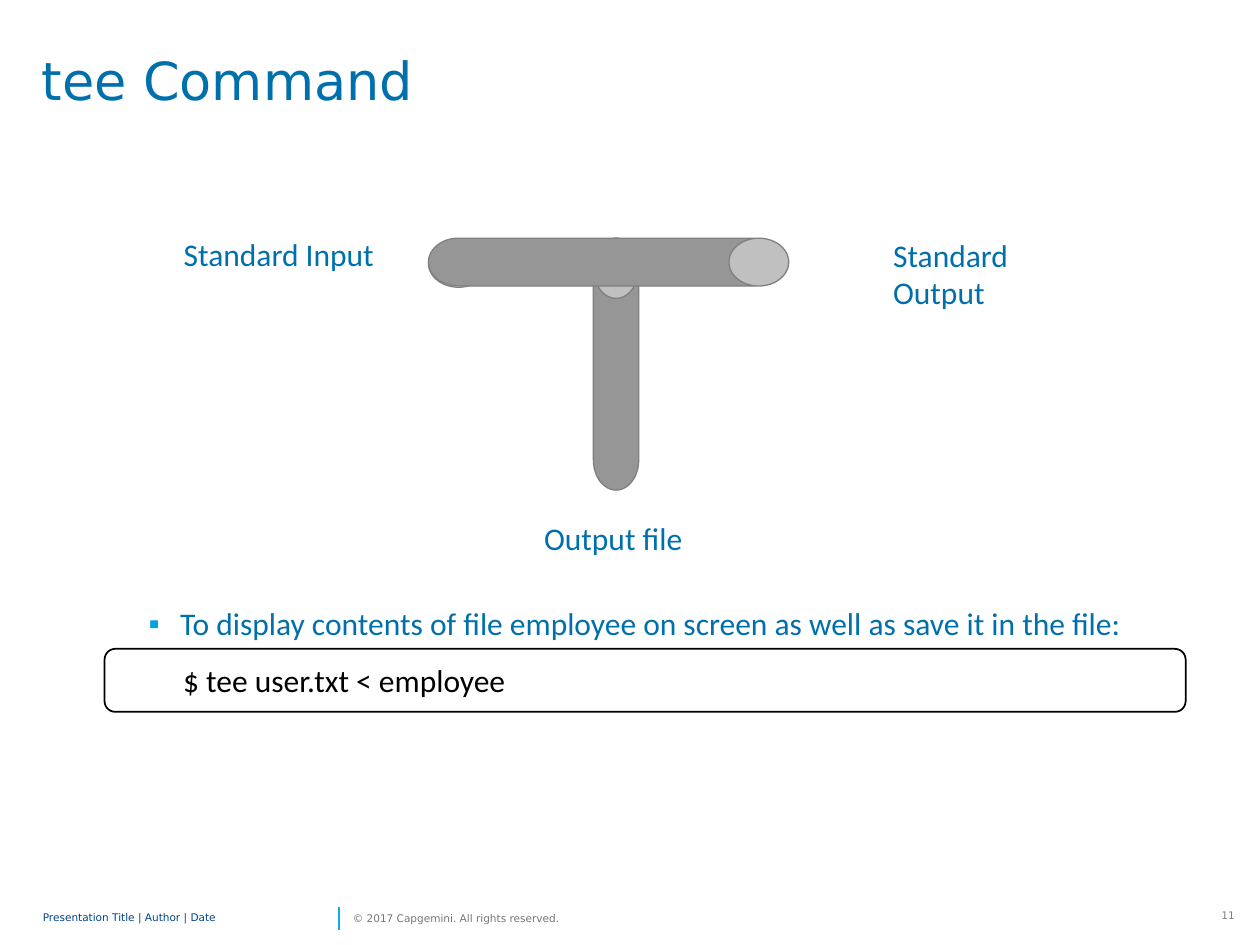
from lxml import etree
from pptx import Presentation
from pptx.dml.color import RGBColor
from pptx.enum.shapes import MSO_CONNECTOR, MSO_SHAPE
from pptx.enum.text import MSO_ANCHOR, MSO_AUTO_SIZE, PP_ALIGN
from pptx.oxml.ns import qn
from pptx.util import Inches, Pt

BLUE = RGBColor(0x00, 0x70, 0xAD)
BULLET_BLUE = RGBColor(0x00, 0xA1, 0xE4)
FOOTER_BLUE = RGBColor(0x00, 0x45, 0x8D)
DIVIDER_BLUE = RGBColor(0x12, 0xAB, 0xDB)
FOOTER_GRAY = RGBColor(0x76, 0x76, 0x76)
PIPE_GRAY = RGBColor(0x96, 0x96, 0x96)
EDGE_GRAY = RGBColor(0x80, 0x80, 0x80)
BLACK = RGBColor(0, 0, 0)
WHITE = RGBColor(0xFF, 0xFF, 0xFF)

BODY_FONT = "Calibri"
HEAD_FONT = "DejaVu Sans"


def place(shape, left, top, width, height):
    shape.left, shape.top = Inches(left), Inches(top)
    shape.width, shape.height = Inches(width), Inches(height)


def set_frame(box, anchor=MSO_ANCHOR.TOP, margins=(0.1, 0.05)):
    frame = box.text_frame
    frame.word_wrap = True
    frame.auto_size = MSO_AUTO_SIZE.NONE
    frame.vertical_anchor = anchor
    frame.margin_left = frame.margin_right = Inches(margins[0])
    frame.margin_top = frame.margin_bottom = Inches(margins[1])


def set_text(box, text, size, font, color, align=PP_ALIGN.LEFT,
             indent=0, spacing=None, bullet=None):
    paragraph = box.text_frame.paragraphs[0]
    paragraph.text = text
    paragraph.alignment = align
    paragraph.space_before = Pt(0)
    if spacing:
        paragraph.line_spacing = spacing
    properties = paragraph._p.get_or_add_pPr()
    properties.set("marL", str(Inches(indent)))
    properties.set("indent", str(Inches(-0.25 if bullet else 0)))
    if bullet:
        color_element = etree.SubElement(properties, qn("a:buClr"))
        etree.SubElement(color_element, qn("a:srgbClr"), val=str(BULLET_BLUE))
        etree.SubElement(properties, qn("a:buChar"), char=bullet)
    paragraph.font.size = Pt(size)
    paragraph.font.name = font
    paragraph.font.color.rgb = color


def add_label(page, text, left, top, height=0.4):
    box = page.shapes.add_textbox(Inches(left), Inches(top), Inches(2.3), Inches(height))
    set_frame(box)
    set_text(box, text, 18, BODY_FONT, BLUE, indent=0.5)


def add_footer_text(page, text, left, width, color, height=0.24, spacing=None,
                    align=PP_ALIGN.LEFT, anchor=MSO_ANCHOR.MIDDLE, margins=(0, 0)):
    box = page.shapes.add_textbox(Inches(left), Inches(7.17), Inches(width), Inches(height))
    set_frame(box, anchor, margins)
    set_text(box, text, 6, HEAD_FONT, color, align, spacing=spacing)


def add_outlined(shapes, kind, left, top, width, height, fill, edge, weight, adjust=None):
    shape = shapes.add_shape(kind, Inches(left), Inches(top), Inches(width), Inches(height))
    shape.shadow.inherit = False
    if fill is None:
        shape.fill.background()
    else:
        shape.fill.solid()
        shape.fill.fore_color.rgb = fill
    shape.line.color.rgb = edge
    shape.line.width = Pt(weight)
    if adjust is not None:
        shape.adjustments[0] = adjust
    return shape


def add_divider(page, x, top, bottom):
    line = page.shapes.add_connector(
        MSO_CONNECTOR.STRAIGHT, Inches(x), Inches(bottom), Inches(x), Inches(top))
    line.line.color.rgb = DIVIDER_BLUE
    line.line.width = Pt(1)
    etree.SubElement(line._element.spPr, qn("a:effectLst"))


def add_tee_pipe(page):
    shapes = page.shapes.add_group_shape().shapes
    add_outlined(shapes, MSO_SHAPE.OVAL, 3.4, 1.9, 0.48, 0.38, None, EDGE_GRAY, 0.75)
    add_outlined(shapes, MSO_SHAPE.CAN, 4.71, 1.89, 0.36, 2, PIPE_GRAY, EDGE_GRAY, 0.75, 1.33)
    crossbar = add_outlined(shapes, MSO_SHAPE.CAN, 4.64, 0.65, 0.38, 2.86,
                            PIPE_GRAY, EDGE_GRAY, 0.75, 1.25)
    crossbar.rotation = 90


def main():
    deck = Presentation()
    deck.slide_width, deck.slide_height = Inches(10), Inches(7.5)
    page = deck.slides.add_slide(deck.slide_layouts[1])

    # Title and example description
    title, body = page.placeholders
    place(title, 0.33, 0.44, 8.98, 0.95)
    set_frame(title, margins=(0, 0))
    set_text(title, "tee Command", 30, HEAD_FONT, BLUE, spacing=0.9)
    place(body, 0.83, 4.49, 8.56, 1.71)
    set_frame(body)
    set_text(body, "To display contents of file employee on screen as well as save it in the file:",
             18, BODY_FONT, BLUE, indent=0.5, spacing=Pt(40), bullet="▪")

    # Pipe diagram with its labels
    add_tee_pipe(page)
    add_label(page, "Standard Input", 0.86, 1.82)
    add_label(page, "Standard Output", 6.49, 1.82, height=0.71)
    add_label(page, "Output file", 3.72, 4.07)

    # Command box
    command = add_outlined(page.shapes, MSO_SHAPE.ROUNDED_RECTANGLE, 0.83, 5.15, 8.58, 0.5,
                           WHITE, BLACK, 1, 0.17)
    set_frame(command, MSO_ANCHOR.MIDDLE)
    set_text(command, "$ tee user.txt < employee", 18, BODY_FONT, BLACK, indent=0.5)

    # Footer
    add_footer_text(page, "Presentation Title | Author | Date", 0.34, 2.32, FOOTER_BLUE,
                    spacing=0.85)
    add_divider(page, 2.69, 7.2, 7.38)
    add_footer_text(page, "© 2017 Capgemini. All rights reserved.", 2.8, 1.82, FOOTER_GRAY)
    add_footer_text(page, "11", 9.57, 0.3, EDGE_GRAY, height=0.18, align=PP_ALIGN.RIGHT,
                    anchor=MSO_ANCHOR.TOP, margins=(0.07, 0.04))

    deck.save("out.pptx")


if __name__ == "__main__":
    main()
